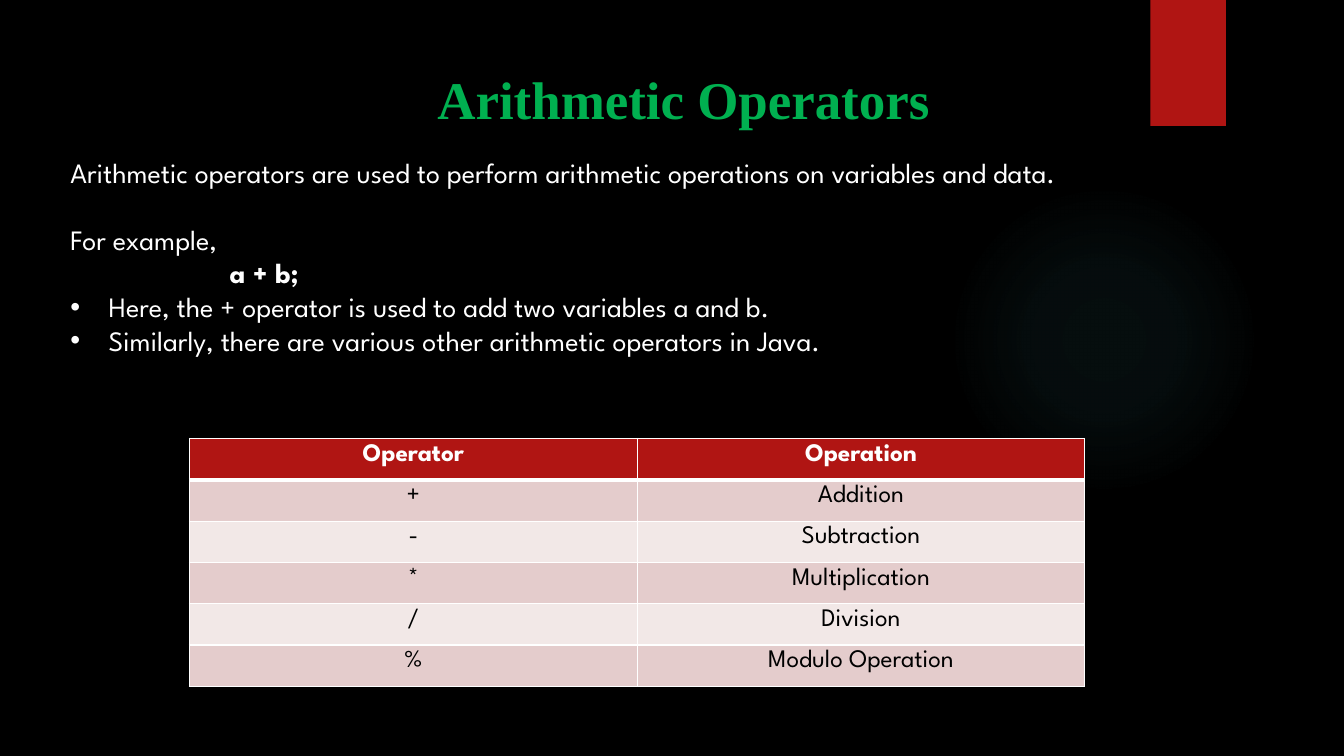
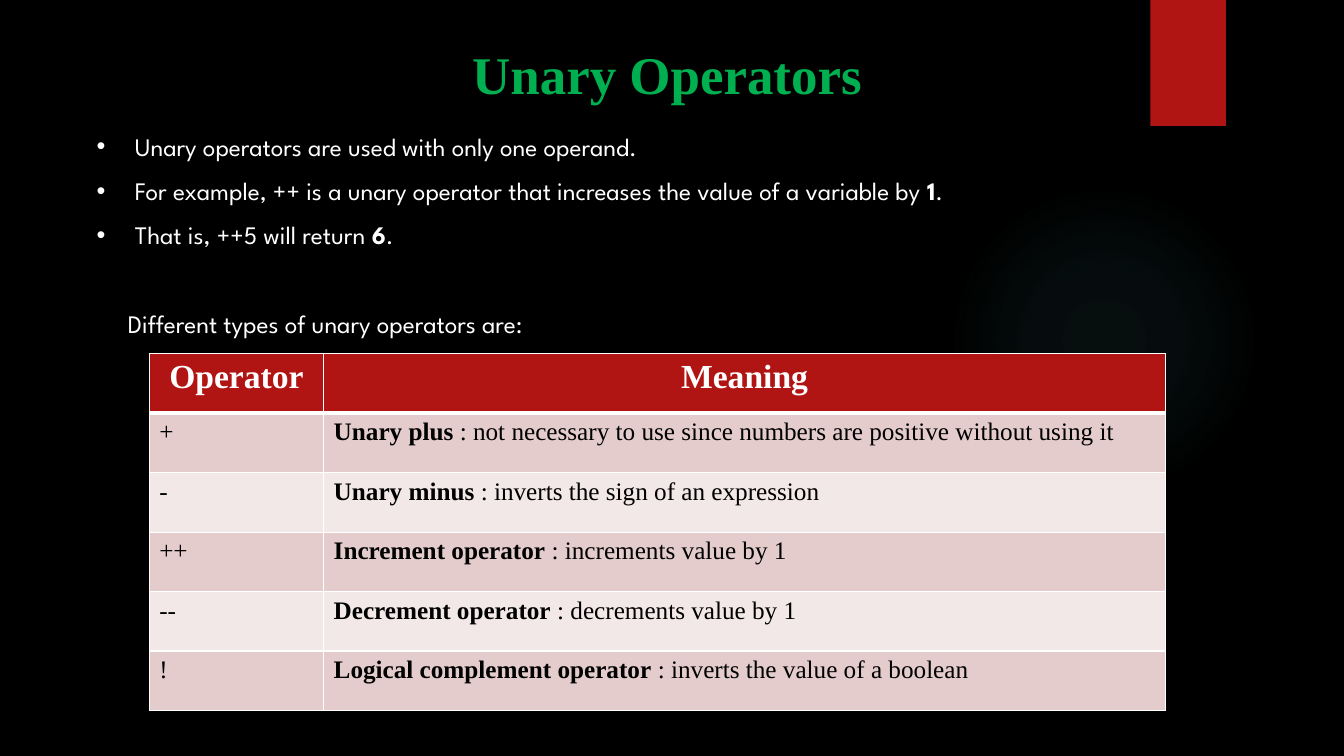
from lxml.etree import SubElement
from pptx import Presentation
from pptx.dml.color import RGBColor
from pptx.enum.shapes import MSO_SHAPE
from pptx.enum.text import MSO_ANCHOR, MSO_AUTO_SIZE, PP_ALIGN
from pptx.oxml import parse_xml
from pptx.oxml.ns import nsdecls, qn
from pptx.util import Inches, Pt

BLACK, WHITE, RED, GREEN, TEAL = "000000", "FFFFFF", "B01513", "00B050", "50B9C1"
BANDS = ("E4CCCC", "F2E8E7")
SERIF, SANS = "Times New Roman", "League Spartan"
GLOW_STOPS = ((0, 7), (36, 6), (69, 0))  # position and opacity, in percent

# Body lines: (text, left indent in inches, bulleted, space before in points).
# Text between ** marks is bold.
SLIDES = [
    {
        "title": "Arithmetic Operators",
        "title_at": (1.48, 0.55, 10.6, 0.65),
        "body_at": (0.6, 1.49, 11.45, 2.2),
        "body_size": 20,
        "body": [
            ("Arithmetic operators are used to perform arithmetic operations "
             "on variables and data.", 0, False, 0),
            ("For example,", 0, False, 24),
            ("**a + b;**", 1.58, False, 0),
            ("Here, the + operator is used to add two variables a and b.", 0.38, True, 0),
            ("Similarly, there are various other arithmetic operators in Java.",
             0.38, True, 0),
        ],
        "table": {
            "corner": (1.88, 4.35),
            "columns": (4.44, 4.44),
            "row_height": 0.41,
            "font": SANS,
            "header_size": 18,
            "align": PP_ALIGN.CENTER,
            "rows": [
                ("Operator", "Operation"),
                ("+", "Addition"),
                ("-", "Subtraction"),
                ("*", "Multiplication"),
                ("/", "Division"),
                ("%", "Modulo Operation"),
            ],
        },
    },
    {
        "title": "Unary Operators",
        "title_at": (1.18, 0.3, 10.87, 0.67),
        "body_at": (0.36, 1.25, 11.69, 2.2),
        "body_size": 18,
        "body": [
            ("Unary operators are used with only one operand.", 0.88, True, 0),
            ("For example, ++ is a unary operator that increases the value "
             "of a variable by **1**.", 0.88, True, 10),
            ("That is, ++5 will return **6**.", 0.88, True, 10),
            ("Different types of unary operators are:", 0.81, False, 41.6),
        ],
        "table": {
            "corner": (1.48, 3.51),
            "columns": (1.73, 8.35),
            "row_height": 0.59,
            "font": SERIF,
            "header_size": 24,
            "align": PP_ALIGN.LEFT,
            "rows": [
                ("Operator", "Meaning"),
                ("+", "**Unary plus** : not necessary to use since numbers "
                      "are positive without using it"),
                ("-", "**Unary minus** : inverts the sign of an expression"),
                ("++", "**Increment operator** : increments value by 1"),
                ("--", "**Decrement operator** : decrements value by 1"),
                ("!", "**Logical complement operator** : inverts the value of a boolean"),
            ],
        },
    },
]


def color(hex_text):
    return RGBColor.from_string(hex_text)


def inches(lengths):
    return [Inches(length) for length in lengths]


def write(para, text, font, size, hex_text, bold=False):
    """Fill a paragraph, turning ** marks into bold runs."""
    para.font.name, para.font.size, para.font.bold = font, Pt(size), bold
    para.font.color.rgb = color(hex_text)
    for index, piece in enumerate(text.split("**")):
        if piece:
            span = para.add_run()
            span.text = piece
            if index % 2:
                span.font.bold = True


def add_decoration(page):
    glow = page.shapes.add_shape(MSO_SHAPE.OVAL, *inches((9.41, 1.83, 3.08, 3.08)))
    ribbon = page.shapes.add_shape(MSO_SHAPE.RECTANGLE, *inches((11.41, 0, 0.75, 1.25)))
    for shape in (glow, ribbon):
        shape.shadow.inherit = False
        shape.line.fill.background()
    ribbon.fill.solid()
    ribbon.fill.fore_color.rgb = color(RED)
    stops = "".join(
        f'<a:gs pos="{position * 1000}"><a:srgbClr val="{TEAL}">'
        f'<a:alpha val="{opacity * 1000}"/></a:srgbClr></a:gs>'
        for position, opacity in GLOW_STOPS)
    gradient = parse_xml(
        f'<a:gradFill {nsdecls("a")}><a:gsLst>{stops}</a:gsLst><a:path path="circle">'
        '<a:fillToRect l="50000" t="50000" r="50000" b="50000"/></a:path></a:gradFill>')
    glow.element.spPr.find(qn("a:prstGeom")).addnext(gradient)


def set_title(page, text, place):
    title = page.shapes.title
    title.left, title.top, title.width, title.height = inches(place)
    frame = title.text_frame
    frame.auto_size = MSO_AUTO_SIZE.NONE
    frame.vertical_anchor = MSO_ANCHOR.TOP
    frame.margin_top = Inches(0.11)
    para = frame.paragraphs[0]
    para.alignment = PP_ALIGN.CENTER
    write(para, text, SERIF, 37.8, GREEN, bold=True)


def add_body(page, lines, place, size):
    frame = page.shapes.add_textbox(*inches(place)).text_frame
    frame.word_wrap = True
    for index, (text, indent, bulleted, space) in enumerate(lines):
        para = frame.add_paragraph() if index else frame.paragraphs[0]
        para.space_before = Pt(space)
        properties = para._p.get_or_add_pPr()
        properties.set("marL", str(Inches(indent)))
        if bulleted:
            properties.set("indent", str(-Inches(0.38)))
            SubElement(properties, qn("a:buFont"), typeface="Arial")
            SubElement(properties, qn("a:buChar"), char="•")
        write(para, text, SANS, size, WHITE)


def set_borders(cell, row):
    """Draw white cell edges, with a thick rule under the header."""
    widths = {"L": 1, "R": 1, "T": 3 if row == 1 else 1, "B": 3 if row == 0 else 1}
    for side, width in widths.items():
        cell._tc.get_or_add_tcPr().append(parse_xml(
            f'<a:ln{side} {nsdecls("a")} w="{Pt(width)}"><a:solidFill>'
            f'<a:srgbClr val="{WHITE}"/></a:solidFill></a:ln{side}>'))


def add_operator_table(page, corner, columns, row_height, font, header_size, align, rows):
    size = (sum(columns), row_height * len(rows))
    table = page.shapes.add_table(len(rows), len(columns), *inches(corner + size)).table
    for column, width in zip(table.columns, columns):
        column.width = Inches(width)
    for row, texts in enumerate(rows):
        header = row == 0
        for column, text in enumerate(texts):
            cell = table.cell(row, column)
            set_borders(cell, row)
            cell.fill.solid()
            cell.fill.fore_color.rgb = color(RED if header else BANDS[(row - 1) % 2])
            para = cell.text_frame.paragraphs[0]
            para.alignment = PP_ALIGN.CENTER if header else align
            write(para, text, font, header_size if header else 18,
                  WHITE if header else BLACK, bold=header)


def main():
    deck = Presentation()
    deck.slide_width, deck.slide_height = inches((13.33, 7.5))
    background = deck.slide_master.background.fill
    background.solid()
    background.fore_color.rgb = color(BLACK)
    for content in SLIDES:
        page = deck.slides.add_slide(deck.slide_layouts[5])
        add_decoration(page)
        set_title(page, content["title"], content["title_at"])
        add_body(page, content["body"], content["body_at"], content["body_size"])
        add_operator_table(page, **content["table"])
    deck.save("out.pptx")


if __name__ == "__main__":
    main()
